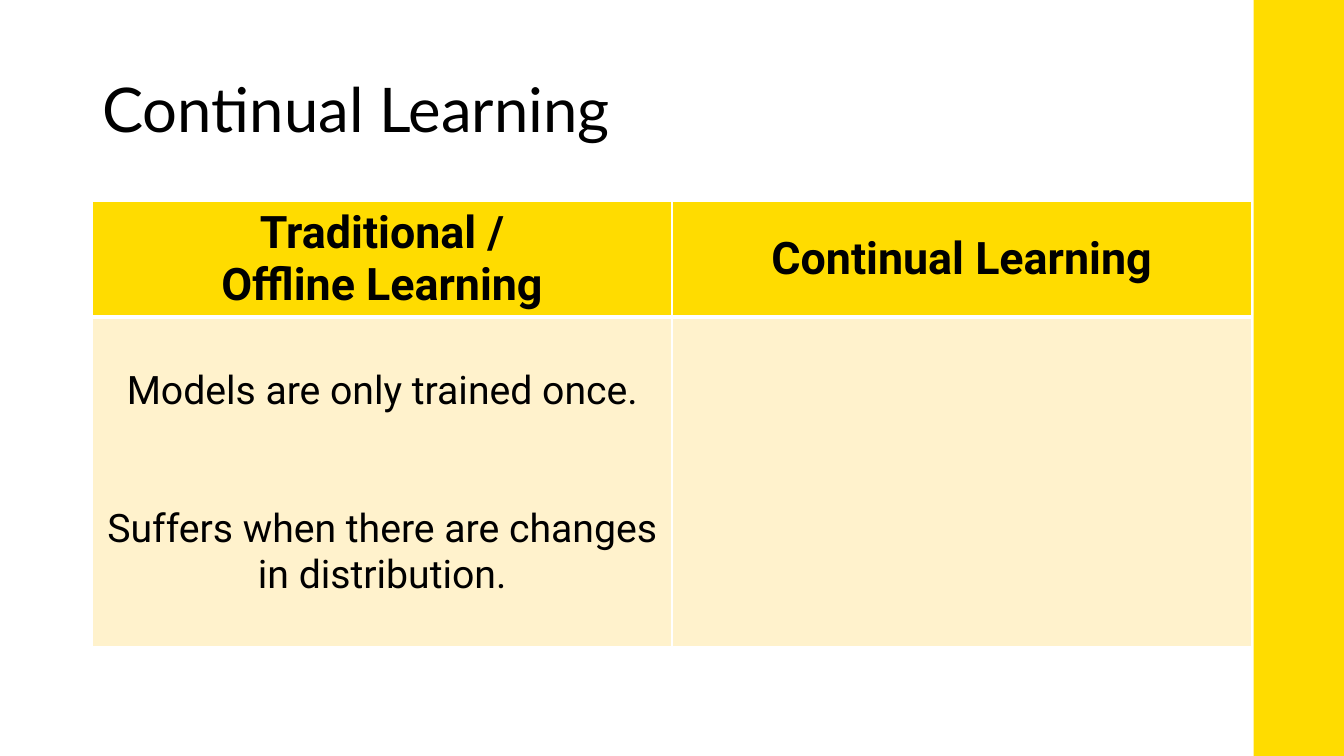
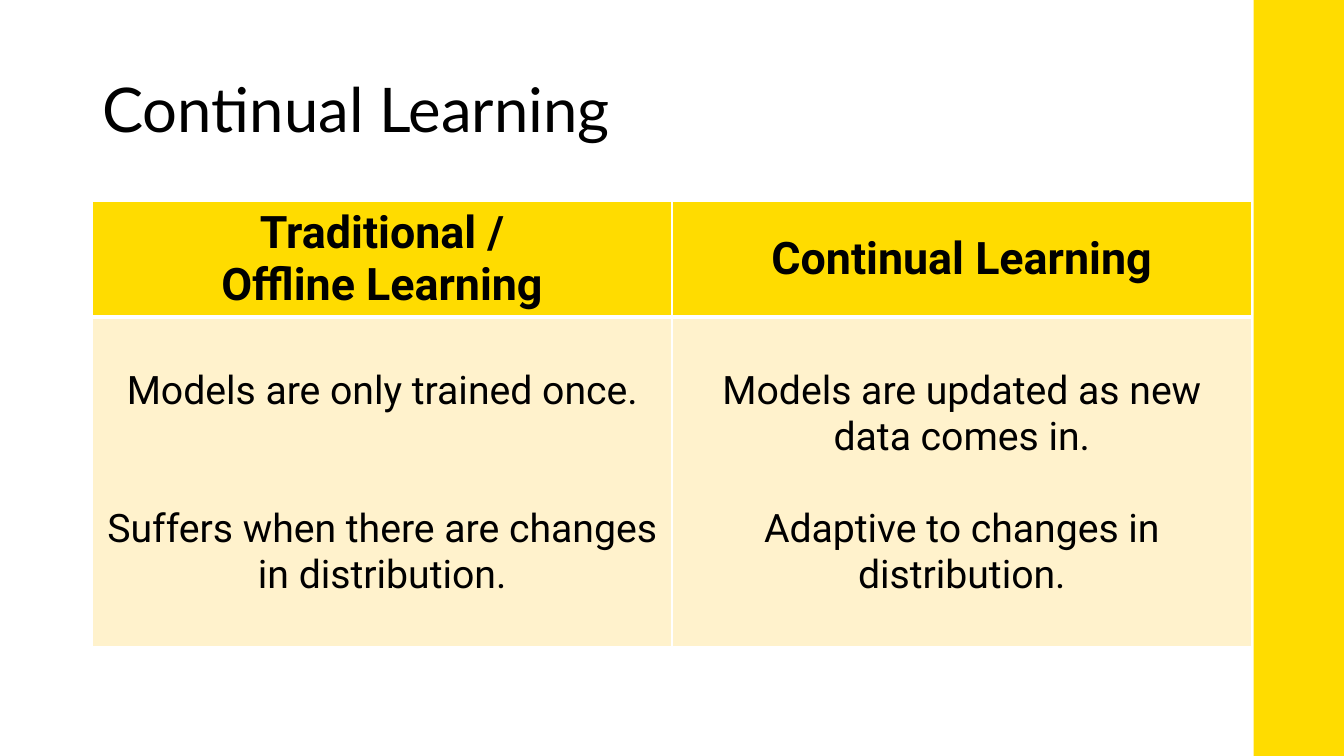
from dataclasses import dataclass

import pptx
import pptx.dml.color
import pptx.enum.shapes
import pptx.enum.text
import pptx.oxml
import pptx.oxml.ns
import pptx.util

PX = 9525
WIDTH, HEIGHT = 1280, 720
YELLOW, CREAM, BLACK, WHITE = "FFDC00", "FFF2CC", "000000", "FFFFFF"
TITLE_FONT, TABLE_FONT = "Lato", "Roboto"
BAND_LEFT = 1194
MARGIN_LEFT, CONTENT_WIDTH = 88, 1104
TITLE_TOP, TITLE_HEIGHT = 38, 139
TABLE_TOP = 192
HEADING_HEIGHT, POINTS_HEIGHT = 108, 314
POINTS_INSET = 49
POINTS_LINE = 33


@dataclass(frozen=True)
class Column:
    heading: tuple[str, ...]
    points: tuple[str, ...] = ()
    blank_lines: int = 1


@dataclass(frozen=True)
class CellStyle:
    fill: str
    size: int
    bold: bool
    anchor: pptx.enum.text.MSO_ANCHOR
    bottom_border: int


HEADING = CellStyle(YELLOW, 32, True, pptx.enum.text.MSO_ANCHOR.MIDDLE, 3)
POINTS = CellStyle(CREAM, 28, False, pptx.enum.text.MSO_ANCHOR.TOP, 1)

OFFLINE = Column(
    ("Traditional /", "Offline Learning"),
    ("Models are only trained once.",
     "Suffers when there are changes in distribution."),
    blank_lines=2,
)
CONTINUAL_HEADING = ("Continual Learning",)
CONTINUAL = Column(
    CONTINUAL_HEADING,
    ("Models are updated as new data comes in.",
     "Adaptive to changes in distribution."),
)
SLIDES = (
    (OFFLINE, Column(CONTINUAL_HEADING)),
    (OFFLINE, CONTINUAL),
)


def px(length: int) -> pptx.util.Emu:
    return pptx.util.Emu(length * PX)


def color(value: str) -> pptx.dml.color.RGBColor:
    return pptx.dml.color.RGBColor.from_string(value)


def format_runs(paragraph, font: str, size: int, bold: bool = False) -> None:
    for run in paragraph.runs:
        run.font.name = font
        run.font.size = pptx.util.Pt(size)
        run.font.bold = bold
        run.font.color.rgb = color(BLACK)


def draw_band(slide) -> None:
    band = slide.shapes.add_shape(
        pptx.enum.shapes.MSO_SHAPE.RECTANGLE,
        px(BAND_LEFT), px(0), px(WIDTH - BAND_LEFT), px(HEIGHT),
    )
    band.shadow.inherit = False
    band.fill.solid()
    band.fill.fore_color.rgb = color(YELLOW)
    band.line.fill.background()


def set_title(slide, text: str) -> None:
    title = slide.shapes.title
    title.left, title.top = px(MARGIN_LEFT), px(TITLE_TOP)
    title.width, title.height = px(CONTENT_WIDTH), px(TITLE_HEIGHT)
    frame = title.text_frame
    frame.text = text
    frame.word_wrap = True
    frame.auto_size = pptx.enum.text.MSO_AUTO_SIZE.NONE
    frame.vertical_anchor = pptx.enum.text.MSO_ANCHOR.MIDDLE
    heading = frame.paragraphs[0]
    heading.alignment = pptx.enum.text.PP_ALIGN.LEFT
    heading.line_spacing = 0.9
    format_runs(heading, TITLE_FONT, 44)


def set_borders(cell, bottom: int) -> None:
    properties = cell._tc.get_or_add_tcPr()
    for side, points in (("L", 1), ("R", 1), ("T", 1), ("B", bottom)):
        properties.append(pptx.oxml.parse_xml(
            f'<a:ln{side} {pptx.oxml.ns.nsdecls("a")} w="{pptx.util.Pt(points)}">'
            f'<a:solidFill><a:srgbClr val="{WHITE}"/></a:solidFill></a:ln{side}>'
        ))


def fill_cell(cell, lines: tuple[str, ...], style: CellStyle, gap: int = 0) -> None:
    set_borders(cell, style.bottom_border)
    cell.fill.solid()
    cell.fill.fore_color.rgb = color(style.fill)
    cell.vertical_anchor = style.anchor
    cell.text_frame.text = "\n".join(lines)
    for index, paragraph in enumerate(cell.text_frame.paragraphs):
        paragraph.alignment = pptx.enum.text.PP_ALIGN.CENTER
        paragraph.space_before = pptx.util.Pt(gap if index else 0)
        format_runs(paragraph, TABLE_FONT, style.size, style.bold)


def draw_comparison(slide, columns: tuple[Column, ...]) -> None:
    table = slide.shapes.add_table(
        2, len(columns), px(MARGIN_LEFT), px(TABLE_TOP),
        px(CONTENT_WIDTH), px(HEADING_HEIGHT + POINTS_HEIGHT),
    ).table
    table.horz_banding = False
    for row, height in zip(table.rows, (HEADING_HEIGHT, POINTS_HEIGHT)):
        row.height = px(height)
    for index, column in enumerate(columns):
        table.columns[index].width = px(CONTENT_WIDTH // len(columns))
        fill_cell(table.cell(0, index), column.heading, HEADING)
        points = table.cell(1, index)
        fill_cell(points, column.points, POINTS, column.blank_lines * POINTS_LINE)
        points.margin_top = px(POINTS_INSET)


def main() -> None:
    deck = pptx.Presentation()
    deck.slide_width, deck.slide_height = px(WIDTH), px(HEIGHT)
    title_only = deck.slide_layouts.get_by_name("Title Only")
    for columns in SLIDES:
        slide = deck.slides.add_slide(title_only)
        draw_band(slide)
        set_title(slide, "Continual Learning")
        draw_comparison(slide, columns)
    deck.save("out.pptx")


if __name__ == "__main__":
    main()
